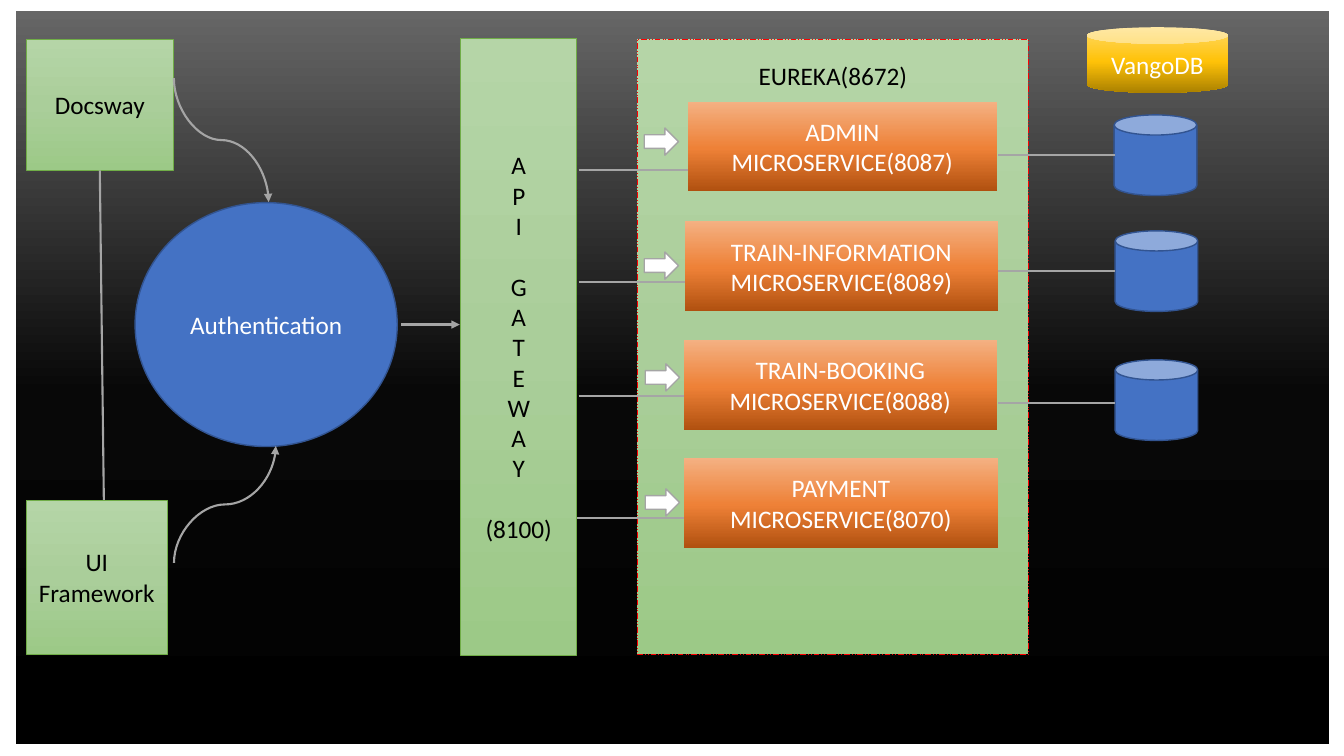
"""Build a one-slide architecture diagram of a train booking system."""
from copy import deepcopy

from lxml import etree
from pptx import Presentation
from pptx.dml.color import RGBColor
from pptx.enum.dml import MSO_LINE
from pptx.enum.shapes import MSO_CONNECTOR, MSO_SHAPE
from pptx.enum.text import MSO_ANCHOR, PP_ALIGN
from pptx.oxml.ns import qn
from pptx.util import Inches, Pt

RECT, OVAL, CAN, ARROW = (MSO_SHAPE.RECTANGLE, MSO_SHAPE.OVAL, MSO_SHAPE.CAN,
                          MSO_SHAPE.RIGHT_ARROW)
STRAIGHT, CURVE = MSO_CONNECTOR.STRAIGHT, MSO_CONNECTOR.CURVE
CENTER, TOP, MIDDLE = PP_ALIGN.CENTER, MSO_ANCHOR.TOP, MSO_ANCHOR.MIDDLE
DASH = MSO_LINE.DASH_DOT_DOT

BLACK = RGBColor(0x00, 0x00, 0x00)
WHITE = RGBColor(0xFF, 0xFF, 0xFF)
GRAY = RGBColor(0xA5, 0xA5, 0xA5)
BLUE = RGBColor(0x44, 0x72, 0xC4)
NAVY = RGBColor(0x32, 0x54, 0x91)
GREEN = RGBColor(0x70, 0xAD, 0x47)
RED = RGBColor(0xFF, 0x00, 0x00)

DARK_FADE = ((0, RGBColor(0x66, 0x66, 0x66)), (0.52, RGBColor(0x08, 0x08, 0x08)), (1, BLACK))
GREEN_FADE = ((0, RGBColor(0xB5, 0xD5, 0xA7)), (0.5, RGBColor(0xAA, 0xCE, 0x9A)),
              (1, RGBColor(0x9C, 0xC9, 0x87)))
ORANGE_FADE = ((0, RGBColor(0xF4, 0xB1, 0x83)), (0.52, RGBColor(0xEE, 0x81, 0x37)),
               (1, RGBColor(0xB0, 0x50, 0x0F)))
GOLD_FADE = ((0, RGBColor(0xFF, 0xD9, 0x66)), (0.52, RGBColor(0xFF, 0xC2, 0x08)),
             (1, RGBColor(0xAB, 0x81, 0x00)))

deck = Presentation()
deck.slide_width, deck.slide_height = Inches(13.33), Inches(7.5)
slide = deck.slides.add_slide(deck.slide_layouts[6])


def add_box(kind, place, fill, line=None, width=1, lines=(), color=WHITE):
    """Add a shape with a solid or top-to-bottom fill and centred lines of text."""
    box = slide.shapes.add_shape(kind, *map(Inches, place))
    box.shadow.inherit = False
    if isinstance(fill, RGBColor):
        box.fill.solid()
        box.fill.fore_color.rgb = fill
    else:
        box.fill.gradient()
        box.fill.gradient_angle = 270
        stops = box._element.spPr.find(f".//{qn('a:gsLst')}")
        stops.insert(1, deepcopy(stops[0]))
        for stop, (position, shade) in zip(box.fill.gradient_stops, fill):
            stop.position = position
            stop.color.rgb = shade
    if line is None:
        box.line.fill.background()
    else:
        box.line.color.rgb = line
        box.line.width = Pt(width)
    frame = box.text_frame
    frame.vertical_anchor = MIDDLE
    for index, text in enumerate(lines):
        para = frame.paragraphs[0] if index == 0 else frame.add_paragraph()
        para.alignment = CENTER
        span = para.add_run()
        span.text = text
        span.font.color.rgb = color
        for name, value in {"name": "Calibri", "size": Pt(18)}.items():
            setattr(span.font, name, value)
    return box


def add_link(kind, begin, end, head=False, turn=0):
    """Add a gray connector, with an arrowhead and a turn in degrees if asked."""
    link = slide.shapes.add_connector(kind, *map(Inches, begin + end))
    link.line.color.rgb = GRAY
    link.line.width = Pt(1.5)
    properties = link._element.spPr
    if head:
        etree.SubElement(properties.find(qn("a:ln")), qn("a:tailEnd"), type="triangle")
    if turn:
        properties.find(qn("a:xfrm")).set("rot", str(turn * 60000))
    etree.SubElement(properties, qn("a:effectLst"))


add_box(RECT, (0.16, 0.11, 13.02, 7.27), DARK_FADE)

gateway = add_box(RECT, (4.57, 0.38, 1.15, 6.12), GREEN_FADE, GREEN, 0.5,
                  [*"APIGATEWAY", "(8100)"], BLACK)
for index in (3, 10):
    gateway.text_frame.paragraphs[index].space_before = Pt(22)

for place, label in (((0.26, 4.96, 1.4, 1.53), "UI Framework"),
                     ((0.26, 0.39, 1.46, 1.3), "Docsway")):
    add_box(RECT, place, GREEN_FADE, GREEN, 0.5, [label], BLACK)
add_box(OVAL, (1.34, 2.01, 2.6, 2.42), BLUE, NAVY, 1, ["Authentication"])

registry = add_box(RECT, (6.32, 0.39, 3.88, 6.1), GREEN_FADE, RED, 0.5,
                   ["EUREKA(8672)"], BLACK)
registry.line.dash_style = DASH
registry.text_frame.vertical_anchor = TOP
registry.text_frame.margin_top = Inches(0.21)

services = (
    ("ADMIN", 8087, (6.82, 1.01, 3.07, 0.89), (6.39, 1.27), (5.74, 1.69)),
    ("TRAIN-INFORMATION", 8089, (6.79, 2.19, 3.11, 0.9), (6.39, 2.5), (5.74, 2.8)),
    ("TRAIN-BOOKING", 8088, (6.78, 3.37, 3.11, 0.9), (6.4, 3.61), (5.74, 3.93)),
    ("PAYMENT", 8070, (6.78, 4.54, 3.12, 0.9), (6.4, 4.85), (5.72, 5.14)),
)
for name, port, place, arrow, start in services:
    add_box(RECT, place, ORANGE_FADE, lines=[name, f"MICROSERVICE({port})"])
    add_box(ARROW, arrow + (0.34, 0.27), WHITE, GRAY)
    add_link(STRAIGHT, start, (place[0], start[1]))

for left, top, link_y in ((11.05, 1.14, 1.54), (11.06, 2.29, 2.69), (11.06, 3.57, 4)):
    add_box(CAN, (left, top, 0.82, 0.8), BLUE, NAVY)
    add_link(STRAIGHT, (9.9, link_y), (11.06, link_y))
add_box(CAN, (10.78, 0.27, 1.4, 0.65), GOLD_FADE, lines=["VangoDB"])

add_link(CURVE, (2.81, 5.51), (1.65, 4.5), head=True, turn=90)
add_link(CURVE, (2.81, 0.92), (1.58, 1.86), head=True, turn=270)
add_link(STRAIGHT, (0.99, 1.69), (1.03, 4.96))
add_link(STRAIGHT, (3.98, 3.22), (4.56, 3.22), head=True)

deck.save("out.pptx")
